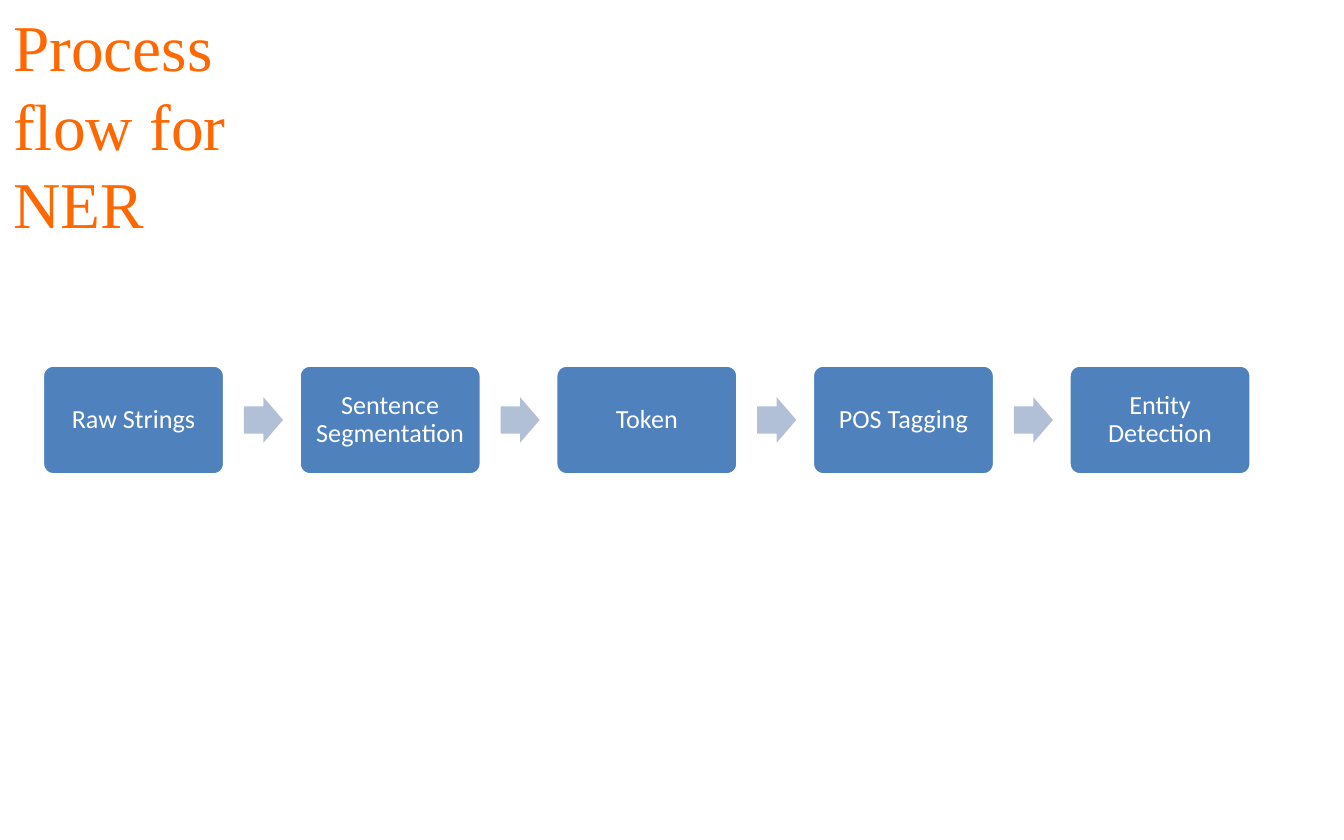
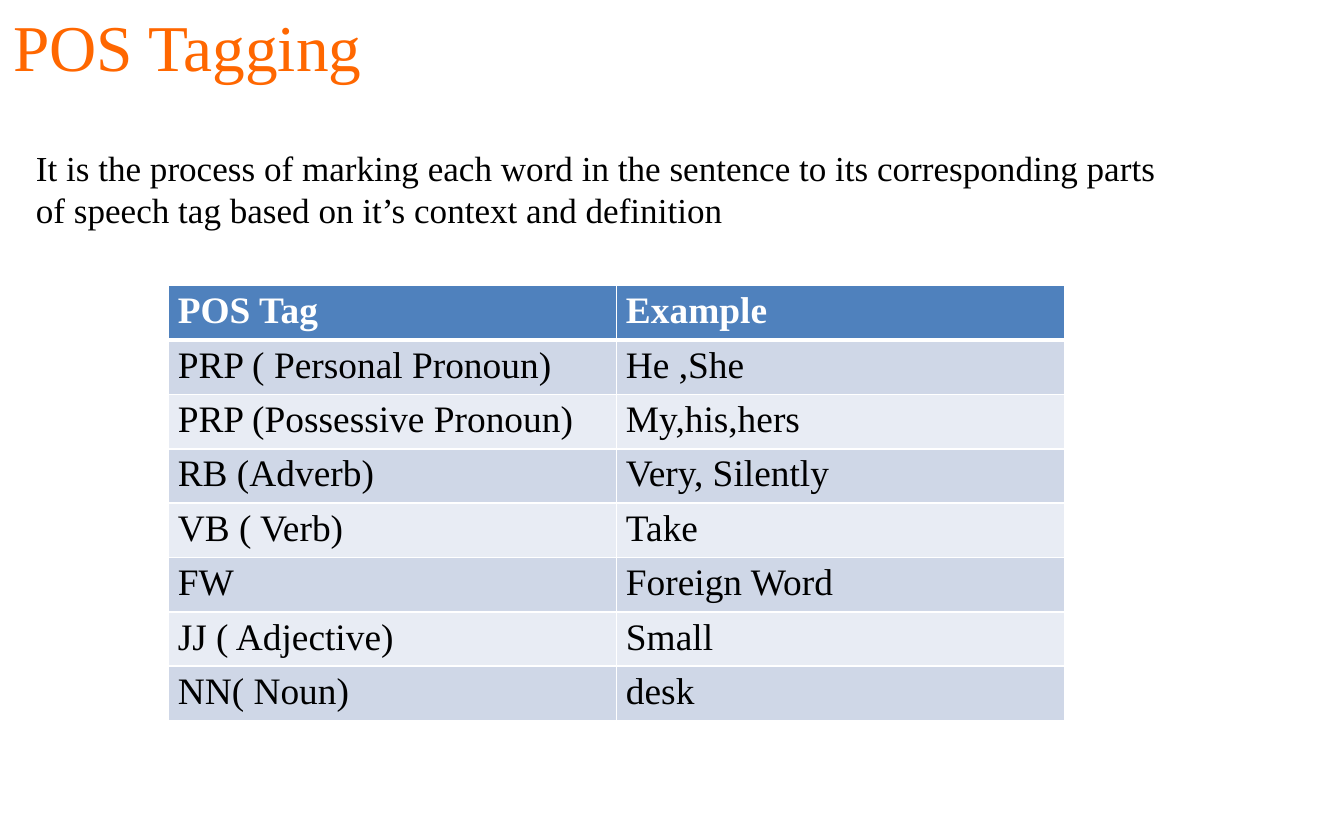
"""Build two slides on named entity recognition and POS tagging."""
from pptx import Presentation
from pptx.dml.color import RGBColor
from pptx.enum.shapes import MSO_SHAPE
from pptx.enum.text import MSO_ANCHOR, MSO_AUTO_SIZE, PP_ALIGN
from pptx.oxml import parse_xml
from pptx.oxml.ns import nsdecls
from pptx.util import Cm, Pt

HUES = {
    "title": "FF6700",
    "text": "000000",
    "white": "FFFFFF",
    "blue": "4F81BD",
    "arrow": "B1C0D7",
    "odd": "CFD7E7",
    "even": "E8ECF4",
}
SERIF, SANS = "Times New Roman", "Calibri"

STEPS = ["Raw Strings", "Sentence Segmentation", "Token", "POS Tagging", "Entity Detection"]
INTRO = (
    "It is the process of marking each word in the sentence to its corresponding parts "
    "of speech tag based on it’s context and definition"
)
TAGS = [
    ("POS Tag", "Example"),
    ("PRP ( Personal Pronoun)", "He ,She"),
    ("PRP (Possessive Pronoun)", "My,his,hers"),
    ("RB (Adverb)", "Very, Silently"),
    ("VB ( Verb)", "Take"),
    ("FW", "Foreign Word"),
    ("JJ ( Adjective)", "Small"),
    ("NN( Noun)", "desk"),
]


def hue(name):
    return RGBColor.from_string(HUES[name])


class Deck:
    def __init__(self):
        self.show = Presentation()
        self.show.slide_width, self.show.slide_height = Cm(25.4), Cm(15.88)
        self.slide = None

    def page(self, title, width, height):
        self.slide = self.show.slides.add_slide(self.show.slide_layouts[6])
        frame = self.text(title, 0, 0, width, height, 35, "title")
        frame.auto_size = MSO_AUTO_SIZE.SHAPE_TO_FIT_TEXT

    def style(self, frame, size, color, face=SERIF, bold=False):
        for line in frame.paragraphs:
            for run in line.runs:
                run.font.name, run.font.size, run.font.bold = face, Pt(size), bold
                run.font.color.rgb = hue(color)

    def text(self, words, left, top, width, height, size, color):
        frame = self.slide.shapes.add_textbox(Cm(left), Cm(top), Cm(width), Cm(height)).text_frame
        frame.word_wrap = True
        frame.text = words
        self.style(frame, size, color)
        return frame

    def shape(self, kind, left, top, width, height, fill, bends):
        shape = self.slide.shapes.add_shape(kind, Cm(left), Cm(top), Cm(width), Cm(height))
        shape.shadow.inherit = False
        shape.fill.solid()
        shape.fill.fore_color.rgb = hue(fill)
        shape.line.fill.background()
        for i, bend in enumerate(bends):
            shape.adjustments[i] = bend
        return shape

    def box(self, words, left, top, width, height):
        shape = self.shape(MSO_SHAPE.ROUNDED_RECTANGLE, left, top, width, height, "blue", [0.1])
        shape.line.color.rgb = hue("white")
        shape.line.width = Pt(2)
        frame = shape.text_frame
        frame.word_wrap = True
        frame.vertical_anchor = MSO_ANCHOR.MIDDLE
        frame.margin_left = frame.margin_right = Cm(0.15)
        frame.margin_top = frame.margin_bottom = Cm(0.15)
        frame.text = words
        frame.paragraphs[0].alignment = PP_ALIGN.CENTER
        frame.paragraphs[0].line_spacing = 0.9
        self.style(frame, 14, "white", SANS)

    def arrow(self, left, top, width, height):
        self.shape(MSO_SHAPE.RIGHT_ARROW, left, top, width, height, "arrow", [0.6, 0.5])

    def edge(self, cell, side, width):
        cell._tc.get_or_add_tcPr().append(parse_xml(
            f'<a:{side} {nsdecls("a")} w="{Pt(width)}"><a:solidFill>'
            f'<a:srgbClr val="{HUES["white"]}"/></a:solidFill></a:{side}>'
        ))

    def cell(self, cell, words, row):
        head = row == 0
        cell.margin_left = cell.margin_right = Cm(0.18)
        cell.margin_top = cell.margin_bottom = Cm(0.09)
        for side in ("lnL", "lnR", "lnT", "lnB"):
            thick = (head and side == "lnB") or (row == 1 and side == "lnT")
            self.edge(cell, side, 3 if thick else 1)
        cell.fill.solid()
        cell.fill.fore_color.rgb = hue("blue" if head else "odd" if row % 2 else "even")
        cell.text_frame.text = words
        self.style(cell.text_frame, 20, "white" if head else "text", bold=head)

    def table(self, rows, left, top, width, high):
        table = self.slide.shapes.add_table(
            len(rows), len(rows[0]), Cm(left), Cm(top), Cm(width), Cm(high * len(rows))
        ).table
        for r, row in enumerate(rows):
            table.rows[r].height = Cm(high)
            for c, words in enumerate(row):
                self.cell(table.cell(r, c), words, r)


def main():
    deck = Deck()

    deck.page("Process flow for NER", 5.87, 1.02)
    left, pitch = 0.8, 4.85
    for i, step in enumerate(STEPS):
        x = left + i * pitch
        if i:
            deck.arrow(x - 1.04, 7.51, 0.74, 0.86)
        deck.box(step, x, 6.9, 3.45, 2.08)

    deck.page("POS Tagging", 8.97, 1.75)
    deck.text(INTRO, 0.43, 2.64, 21.9, 1.9, 18.8, "text")
    deck.table(TAGS, 3.18, 5.4, 16.94, 0.97)

    deck.show.save("out.pptx")


if __name__ == "__main__":
    main()
